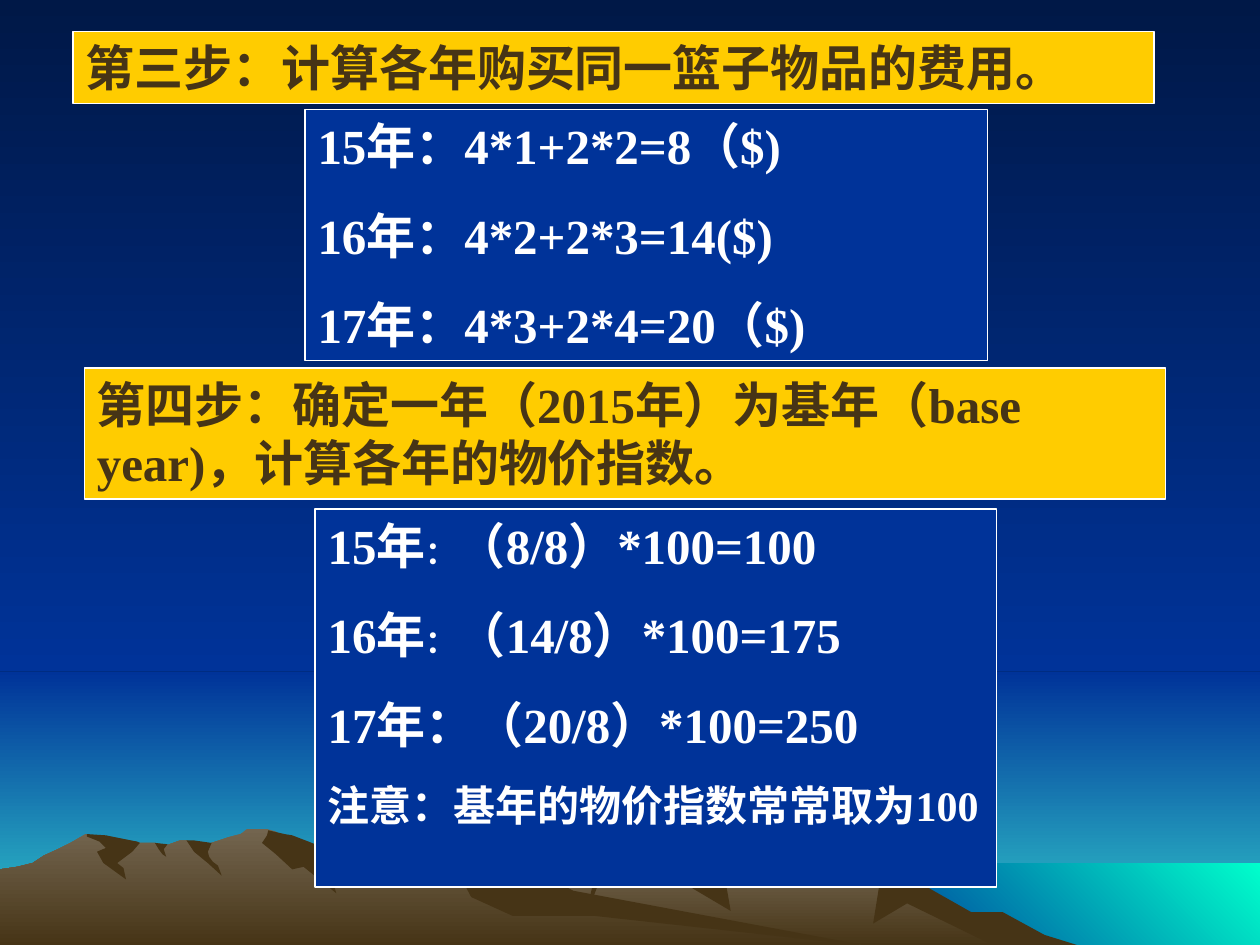
from pptx import Presentation
from pptx import util as u
from pptx.dml.color import RGBColor
from pptx.enum import lang, shapes, text
from pptx.oxml.xmlchemy import OxmlElement

# The slide is a grid of 1000 columns by 750 rows
COLUMNS, ROWS = 1000, 750
CELL = u.Inches(0.01)

NIGHT = RGBColor(0x00, 0x18, 0x47)
BLUE = RGBColor(0x00, 0x33, 0x99)
TEAL = RGBColor(0x33, 0xCC, 0xCC)
AQUA = RGBColor(0x00, 0xFF, 0xCC)
STONE = RGBColor(0x84, 0x78, 0x64)
ROCK = RGBColor(0x73, 0x65, 0x4F)
BROWN = RGBColor(0x46, 0x34, 0x16)
GOLD = RGBColor(0xFF, 0xCC, 0x00)
WHITE = RGBColor(0xFF, 0xFF, 0xFF)

DOWN, UP_RIGHT = 270, 45

# Mountain outlines, as column and row pairs
FAR_RANGE = [
    (802, 740), (778, 727), (764, 723), (723, 698), (702, 671), (685, 660),
    (676, 667), (656, 671), (629, 671), (613, 681), (566, 697), (536, 690),
    (529, 676), (526, 673), (509, 669), (486, 673), (474, 661), (471, 658),
    (465, 658), (450, 664), (438, 671), (430, 671), (418, 675), (399, 683),
    (355, 698), (327, 709), (277, 739), (258, 751), (821, 751)]
NEAR_RANGE = [
    (690, 751), (667, 748), (432, 712), (354, 665), (331, 663), (327, 668),
    (323, 668), (318, 664), (296, 676), (279, 681), (271, 682), (260, 676),
    (236, 681), (223, 663), (219, 660), (212, 658), (196, 658), (191, 662),
    (183, 664), (168, 669), (160, 671), (148, 667), (143, 667), (132, 671),
    (123, 669), (111, 669), (94, 671), (68, 662), (56, 669), (46, 674),
    (35, 679), (26, 685), (14, 688), (0, 690), (0, 751)]
FAR_SHADES = [
    [(796, 724), (771, 724), (734, 703), (707, 671), (685, 660), (689, 664),
     (685, 671), (691, 680), (698, 702), (693, 733), (720, 717), (792, 752),
     (858, 751), (829, 742)],
    [(471, 658), (474, 662), (469, 664), (468, 671), (472, 680), (473, 690),
     (465, 727), (474, 704), (479, 700), (487, 683), (490, 682), (490, 676),
     (497, 671), (493, 670)],
    [(529, 676), (526, 683), (536, 697), (580, 723), (576, 700), (592, 689),
     (570, 692), (542, 685)]]
NEAR_SHADES = [
    [(212, 663), (208, 669), (219, 678), (232, 690), (241, 688), (267, 709),
     (261, 689), (271, 682), (266, 679), (260, 674), (245, 668), (232, 663),
     (226, 662), (213, 659)],
    [(370, 668), (354, 665), (344, 665), (339, 669), (337, 687), (348, 683),
     (353, 688), (363, 691), (374, 712), (407, 727), (472, 727), (690, 751),
     (455, 707), (427, 692), (411, 684), (401, 681)],
    [(154, 667), (168, 669), (165, 676), (166, 680), (169, 684), (173, 687),
     (176, 695), (165, 685), (154, 676), (148, 667)],
    [(133, 670), (130, 674), (132, 680), (129, 678), (126, 674), (123, 669)],
    [(109, 668), (111, 669), (105, 676), (93, 685), (98, 689), (100, 698),
     (82, 685), (77, 676), (84, 673), (79, 668), (69, 664), (69, 662),
     (84, 663), (94, 665)]]

STEP_THREE = ["第三步：计算各年购买同一篮子物品的费用。"]
COSTS = ["15年：4*1+2*2=8（$)", "16年：4*2+2*3=14($)", "17年：4*3+2*4=20（$)"]
STEP_FOUR = ["第四步：确定一年（2015年）为基年（base year)，计算各年的物价指数。"]
# A bar sets off a small colon
INDEXES = ["15年|：|（8/8）*100=100", "16年|：|（14/8）*100=175",
           "17年：（20/8）*100=250", "注意：基年的物价指数常常取为100"]


def paint(fill, colors, angle=DOWN):
    """Fill with one colour, or with a gradient between two."""
    if len(colors) == 1:
        fill.solid()
        fill.fore_color.rgb = colors[0]
        return
    fill.gradient()
    fill.gradient_angle = angle
    for stop, color in zip(fill.gradient_stops, colors):
        stop.color.rgb = color


def finish(shape, colors, angle=DOWN):
    shape.shadow.inherit = False
    shape.line.fill.background()
    paint(shape.fill, colors, angle)


def add_band(page, box, colors, angle=DOWN):
    lengths = [CELL * n for n in box]
    band = page.shapes.add_shape(shapes.MSO_SHAPE.RECTANGLE, *lengths)
    finish(band, colors, angle)


def add_outline(page, points, colors):
    builder = page.shapes.build_freeform(*points[0], scale=CELL)
    builder.add_line_segments(points[1:], close=True)
    finish(builder.convert_to_shape(), colors)


def add_landscape(page, horizon=533):
    paint(page.background.fill, [NIGHT, BLUE])
    # Sky and sea
    add_band(page, (0, horizon, COLUMNS, ROWS - horizon), [BLUE, TEAL])
    add_band(page, (0, 0, COLUMNS, horizon), [NIGHT, BLUE])
    add_band(page, (683, 685, 317, 67), [BLUE, AQUA], UP_RIGHT)
    # Mountains with their shaded sides
    for ridge, light, shades in ((FAR_RANGE, STONE, FAR_SHADES),
                                 (NEAR_RANGE, ROCK, NEAR_SHADES)):
        add_outline(page, ridge, [light, BROWN])
        for shade in shades:
            add_outline(page, shade, [BROWN])


def write_para(para, line, size, color):
    props = para._p.get_or_add_pPr()
    props.set("marL", "0")
    props.set("indent", "0")
    props.append(OxmlElement("a:buNone"))
    para.alignment = text.PP_ALIGN.LEFT
    para.line_spacing = 1.0
    for part in line.split("|"):
        span = para.add_run()
        span.text = part
        small = part == "："
        span.font.name = "Arial" if small else "Times New Roman"
        span.font.size = u.Pt(18 if small else size)
        span.font.bold = True
        span.font.color.rgb = color
        span.font.language_id = lang.MSO_LANGUAGE_ID.SIMPLIFIED_CHINESE


def fill_panel(panel, box, lines, back, color):
    """Place a framed panel in its box and write its lines."""
    panel.left, panel.top, panel.width, panel.height = [CELL * n for n in box]
    paint(panel.fill, [back])
    panel.line.color.rgb = WHITE
    panel.line.width = u.Pt(0.75)
    frame = panel.text_frame
    frame.word_wrap = True
    frame.auto_size = text.MSO_AUTO_SIZE.NONE
    frame.vertical_anchor = text.MSO_ANCHOR.TOP
    frame.margin_left = frame.margin_right = u.Inches(0.1)
    frame.margin_top = frame.margin_bottom = u.Inches(0.05)
    for number, line in enumerate(lines):
        para = frame.paragraphs[0] if number == 0 else frame.add_paragraph()
        size = 24 if line.startswith("注意") else 28
        write_para(para, line, size, color)
        para.space_before = u.Pt(size * 0.625 if number else 0)


def main():
    deck = Presentation()
    deck.slide_width, deck.slide_height = CELL * COLUMNS, CELL * ROWS
    page = deck.slides.add_slide(deck.slide_layouts.get_by_name("Two Content"))
    title, costs, indexes = list(page.placeholders)[:3]
    add_landscape(page)
    step_four = page.shapes.add_textbox(0, 0, CELL, CELL)

    # Steps and their results, in front of the landscape
    for panel, box, lines, back, color in (
            (title, (58, 25, 858, 57), STEP_THREE, GOLD, BROWN),
            (costs, (242, 87, 542, 199), COSTS, BLUE, WHITE),
            (step_four, (67, 292, 858, 104), STEP_FOUR, GOLD, BROWN),
            (indexes, (250, 404, 541, 300), INDEXES, BLUE, WHITE)):
        page.shapes._spTree.append(panel._element)
        fill_panel(panel, box, lines, back, color)
    deck.save("out.pptx")


if __name__ == "__main__":
    main()
